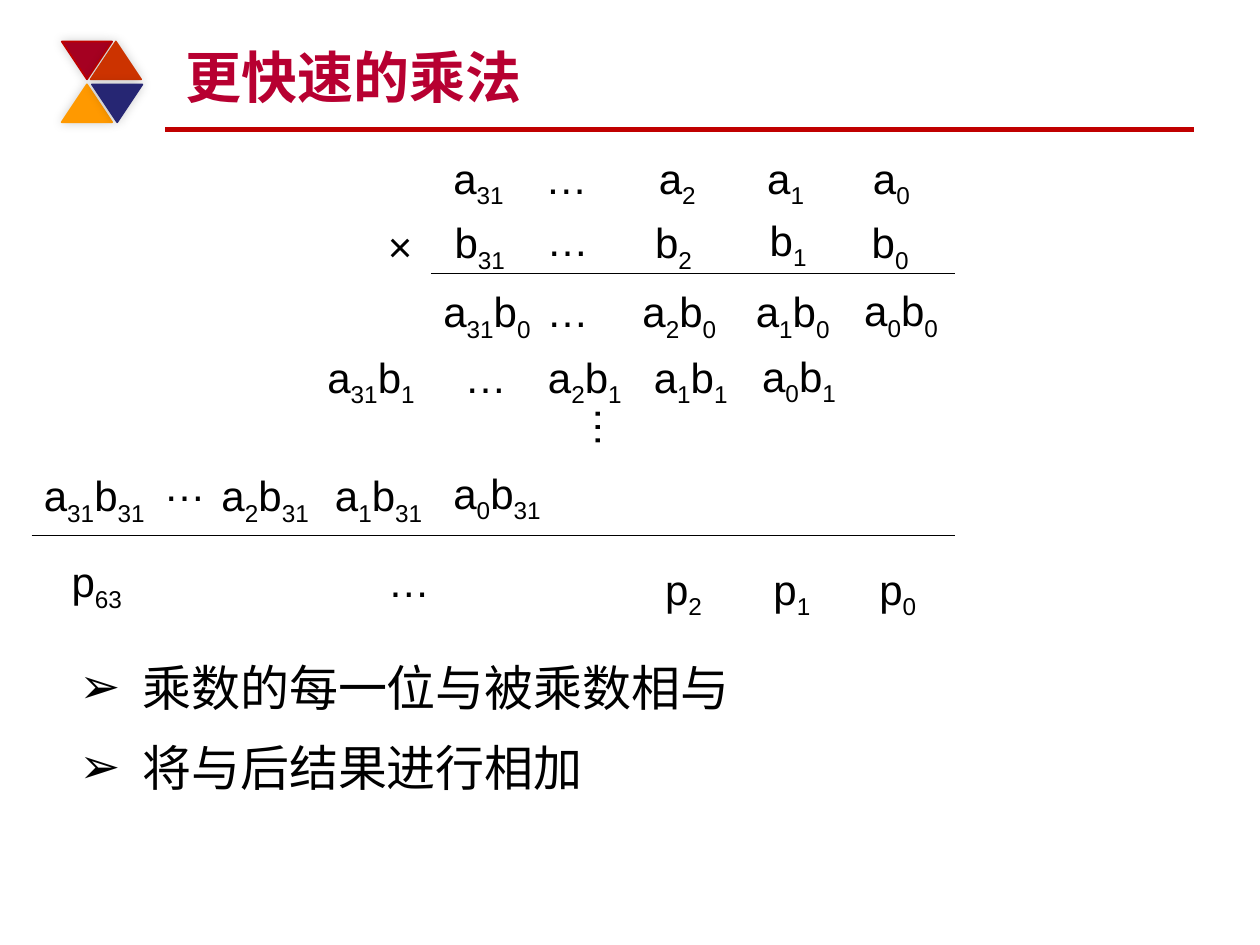
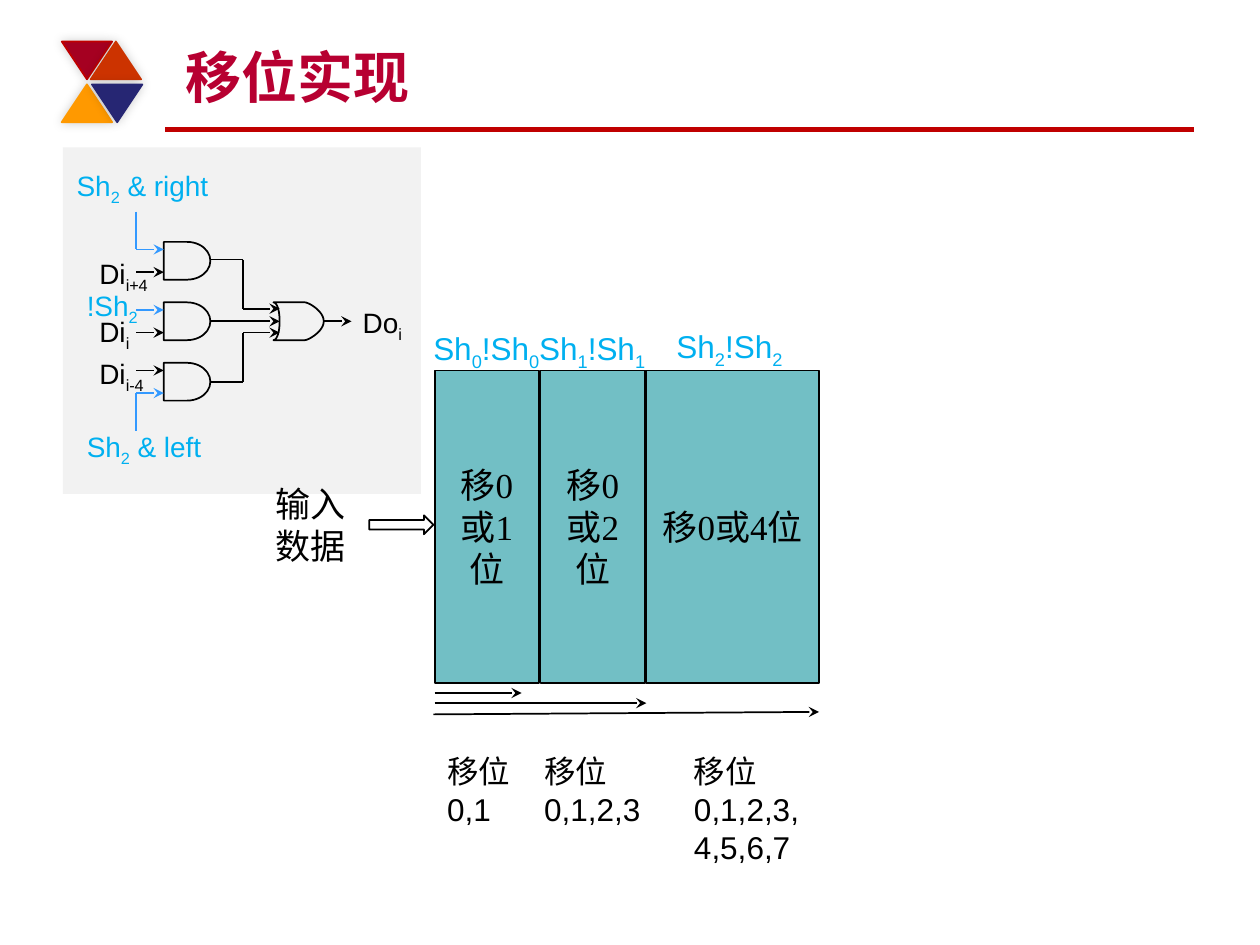
import lxml.etree
import pptx
import pptx.oxml.ns
from pptx.dml.color import RGBColor
from pptx.enum.shapes import MSO_CONNECTOR, MSO_SHAPE
from pptx.enum.text import MSO_ANCHOR, MSO_AUTO_SIZE, PP_ALIGN
from pptx.util import Inches, Pt

BLACK = RGBColor(0x00, 0x00, 0x00)
TITLE_RED = RGBColor(0xB7, 0x00, 0x31)
RULE_RED = RGBColor(0xC0, 0x00, 0x00)
DARK_RED = RGBColor(0xA5, 0x00, 0x21)
ORANGE_RED = RGBColor(0xCC, 0x33, 0x00)
AMBER = RGBColor(0xFF, 0x99, 0x00)
NAVY = RGBColor(0x26, 0x26, 0x73)
PANEL_GREY = RGBColor(0xF2, 0xF2, 0xF2)
STAGE_TEAL = RGBColor(0x72, 0xBF, 0xC5)
SIGNAL_BLUE = RGBColor(0x33, 0x99, 0xFF)
LABEL_BLUE = RGBColor(0x00, 0xB0, 0xF0)

# left, top, rotation, fill, line
TRIANGLES = [
    (0.49, 0.33, 180, DARK_RED, RULE_RED),
    (0.72, 0.33, 0, ORANGE_RED, ORANGE_RED),
    (0.49, 0.67, 0, AMBER, AMBER),
    (0.73, 0.67, 180, NAVY, NAVY),
]

# top, then (left, term); subscripts stand between bars
PRODUCT_ROWS = [
    (1.16, [(3.5, "a|31"), (4.23, "…"), (5.13, "a|2"), (5.99, "a|1"), (6.83, "a|0")]),
    (1.65, [(4.24, "…"), (6.01, "b|1")]),
    (1.67, [(3.51, "b|31"), (5.1, "b|2"), (6.82, "b|0")]),
    (1.7, [(2.98, "×")]),
    (2.22, [(3.42, "a|31|b|0"), (4.24, "…"), (5, "a|2|b|0"), (5.9, "a|1|b|0")]),
    (2.21, [(6.76, "a|0|b|0")]),
    (2.74, [(2.5, "a|31|b|1"), (3.59, "…"), (4.25, "a|2|b|1"), (5.09, "a|1|b|1")]),
    (2.73, [(5.95, "a|0|b|1")]),
    (3.6, [(1.2, "…")]),
    (3.68, [(0.25, "a|31|b|31"), (1.66, "a|2|b|31"), (2.56, "a|1|b|31")]),
    (3.66, [(3.5, "a|0|b|31")]),
    (4.36, [(0.47, "p|63"), (2.98, "…")]),
    (4.42, [(5.18, "p|2"), (6.04, "p|1"), (6.88, "p|0")]),
]


def sub_element(parent, tag, **attributes):
    return lxml.etree.SubElement(parent, pptx.oxml.ns.qn(tag), **attributes)


def box(left, top, width, height):
    return [Inches(v) for v in (left, top, width, height)]


def format_run(r, size, color=BLACK, font="Arial", bold=False):
    r.font.name = font
    r.font.size = Pt(size)
    r.font.bold = bold
    r.font.color.rgb = color


def add_text(shapes, at, text, size, color=BLACK, wrap=True):
    """Text box whose paragraphs are split by newlines and subscripts by bars."""
    tb = shapes.add_textbox(*box(*at))
    tf = tb.text_frame
    tf.word_wrap = wrap
    tf.auto_size = MSO_AUTO_SIZE.SHAPE_TO_FIT_TEXT
    for n, line in enumerate(text.split("\n")):
        p = tf.add_paragraph() if n else tf.paragraphs[0]
        for i, piece in enumerate(line.split("|")):
            r = p.add_run()
            r.text = piece
            format_run(r, size, color)
            if i % 2:
                r._r.get_or_add_rPr().set("baseline", "-25000")
    return tb


def add_line(shapes, x1, y1, x2, y2, color=BLACK, width=1, arrow=False):
    c = shapes.add_connector(MSO_CONNECTOR.STRAIGHT, *box(x1, y1, x2, y2))
    c.line.color.rgb = color
    c.line.width = Pt(width)
    sp_pr = c.element.spPr
    if arrow:
        sub_element(sp_pr.find(pptx.oxml.ns.qn("a:ln")), "a:tailEnd", type="stealth")
    sub_element(sp_pr, "a:effectLst")


def style_shape(sp, fill=None, line=BLACK):
    sp.shadow.inherit = False
    if fill is None:
        sp.fill.background()
    else:
        sp.fill.solid()
        sp.fill.fore_color.rgb = fill
    if line is None:
        sp.line.fill.background()
    else:
        sp.line.color.rgb = line
        sp.line.width = Pt(1)


def add_box(shapes, kind, at, fill=None, line=BLACK):
    sp = shapes.add_shape(kind, *box(*at))
    style_shape(sp, fill, line)
    return sp


def add_soft_shadow(sp):
    effects = sp.element.spPr.find(pptx.oxml.ns.qn("a:effectLst"))
    shadow = sub_element(effects, "a:outerShdw", blurRad=str(Pt(6)), dist="0",
                         dir="18900000", algn="bl", rotWithShape="0")
    color = sub_element(shadow, "a:srgbClr", val="000000")
    sub_element(color, "a:alpha", val="20000")


def place(sp, at):
    sp.left, sp.top, sp.width, sp.height = box(*at)


def new_slide(prs, layout, title):
    """Slide with the ornament, the red rule and the title."""
    s = prs.slides.add_slide(prs.slide_layouts[layout])
    add_line(s.shapes, 1.31, 1.03, 9.48, 1.03, RULE_RED, 3)
    for left, top, rotation, fill, line in TRIANGLES:
        sp = add_box(s.shapes, MSO_SHAPE.ISOSCELES_TRIANGLE, (left, top, 0.4, 0.3), fill, line)
        sp.rotation = rotation
        add_soft_shadow(sp)
    place(s.shapes.title, (1.37, 0.25, 8, 0.67))
    tf = s.shapes.title.text_frame
    tf.text = title
    tf.vertical_anchor = MSO_ANCHOR.BOTTOM
    tf.auto_size = MSO_AUTO_SIZE.NONE
    p = tf.paragraphs[0]
    p.alignment = PP_ALIGN.LEFT
    format_run(p.runs[0], 32, TITLE_RED, bold=True)
    return s


def fill_bullets(body, at, lines):
    place(body, at)
    tf = body.text_frame
    tf.text = "\n".join(lines)
    tf.auto_size = MSO_AUTO_SIZE.NONE
    for n, p in enumerate(tf.paragraphs):
        p.line_spacing = Pt(40)
        p.space_before = Pt(5.6 if n else 0)
        p_pr = p._p.get_or_add_pPr()
        p_pr.set("marL", str(Inches(0.5)))
        p_pr.set("indent", str(-Inches(0.5)))
        sub_element(p_pr, "a:buFont", typeface="Arial")
        sub_element(p_pr, "a:buChar", char="➢")
        format_run(p.runs[0], 28)


def term_width(term):
    if "|" not in term:
        return 0.54
    return 0.2 + sum(0.12 if ch.isdigit() else 0.19 for ch in term if ch != "|")


def draw_product(shapes):
    """Long multiplication of two 32-bit numbers."""
    for top, terms in PRODUCT_ROWS:
        for left, term in terms:
            add_text(shapes, (left, top, term_width(term), 0.5), term, 24, wrap=False)
    dots = add_text(shapes, (4.59, 3.15, 0.54, 0.5), "…", 24, wrap=False)
    dots.rotation = 90
    for left, y in ((3.42, 2.17), (0.25, 4.25)):
        add_line(shapes, left, y, 7.58, y, width=0.75)


def curve(p0, p1, p2, p3, steps=12):
    """Points along a cubic Bezier curve, without the first."""
    points = []
    for n in range(1, steps + 1):
        t = n / steps
        weights = ((1 - t) ** 3, 3 * t * (1 - t) ** 2, 3 * t * t * (1 - t), t ** 3)
        points.append(tuple(sum(w * p[axis] for w, p in zip(weights, (p0, p1, p2, p3)))
                            for axis in (0, 1)))
    return points


def draw_or_gate(shapes, x, y):
    back = (curve((0, 0.3), (0.03, 0.3), (0.05, 0.23), (0.05, 0.15))
            + curve((0.05, 0.15), (0.05, 0.07), (0.03, 0), (0, 0)))
    front = (curve((0.25, 0), (0.28, 0), (0.4, 0.07), (0.4, 0.15))
             + curve((0.4, 0.15), (0.4, 0.23), (0.28, 0.3), (0.25, 0.3)))
    outline = [(Inches(x + dx), Inches(y + dy)) for dx, dy in back + [(0.25, 0)] + front]
    fb = shapes.build_freeform(Inches(x), Inches(y + 0.3))
    fb.add_line_segments(outline, close=True)
    style_shape(fb.convert_to_shape())


def draw_bit_logic(shapes, x, y):
    """Gates that choose one output bit, on a grey panel."""
    add_box(shapes, MSO_SHAPE.RECTANGLE, (x, y, 2.84, 2.75), PANEL_GREY, None)
    wire, gate, joint, merge = x + 0.58, x + 0.8, x + 1.43, x + 1.67
    for n in range(3):
        top = y + 0.75 + 0.48 * n
        add_box(shapes, MSO_SHAPE.FLOWCHART_DELAY, (gate, top, 0.37, 0.3))
        colors = (BLACK, SIGNAL_BLUE) if n == 2 else (SIGNAL_BLUE, BLACK)
        for dy, color in zip((0.06, 0.24), colors):
            add_line(shapes, wire, top + dy, gate, top + dy, color, arrow=True)
    draw_or_gate(shapes, merge, y + 1.23)
    for out, entry in ((0.89, 1.28), (1.86, 1.47)):
        add_line(shapes, gate + 0.37, y + out, joint, y + out)
        add_line(shapes, joint, y + out, joint, y + entry)
        add_line(shapes, joint, y + entry, merge + 0.05, y + entry, arrow=True)
    add_line(shapes, gate + 0.37, y + 1.38, merge + 0.05, y + 1.38, arrow=True)
    add_line(shapes, merge + 0.4, y + 1.38, x + 2.29, y + 1.38, arrow=True)
    for start in (0.51, 1.95):
        add_line(shapes, wire, y + start, wire, y + start + 0.3, SIGNAL_BLUE)
    for dx, dy, width, text, color in (
        (2.28, 1.21, 0.72, "Do|i", BLACK),
        (0.19, 0.82, 0.72, "Di|i+4", BLACK),
        (0.19, 1.28, 0.72, "Di|i", BLACK),
        (0.19, 1.61, 0.72, "Di|i-4", BLACK),
        (0.01, 0.12, 1.32, "Sh|2| & right", LABEL_BLUE),
        (0.09, 2.19, 1.32, "Sh|2| & left", LABEL_BLUE),
    ):
        add_text(shapes, (x + dx, y + dy, width, 0.37), text, 16, color)
    add_text(shapes, (x + 0.09, y + 1.07, 0.68, 0.37), "!Sh|2", 16, LABEL_BLUE, wrap=False)


def draw_shifter(shapes, x, y):
    """Three shift stages with their controls, reach arrows and captions."""
    add_box(shapes, MSO_SHAPE.RIGHT_ARROW, (x - 0.52, y + 1.15, 0.51, 0.15))
    add_text(shapes, (x - 1.36, y + 0.84, 0.97, 0.77), "输入数据", 20)
    # offset, width, label offset, caption offset, caption width, caption
    stages = [
        (0, 0.83, -0.11, 0, 0.97, "移位\n0,1"),
        (0.84, 0.83, 0.73, 0.77, 0.97, "移位\n0,1,2,3"),
        (1.68, 1.37, 1.82, 1.96, 1.07, "移位\n0,1,2,3,4,5,6,7"),
    ]
    for n, (dx, width, label_dx, caption_dx, caption_width, caption) in enumerate(stages):
        sp = add_box(shapes, MSO_SHAPE.RECTANGLE, (x + dx, y, width, 2.48), STAGE_TEAL)
        tf = sp.text_frame
        tf.text = f"移0或{2 ** n}位"
        tf.word_wrap = True
        tf.vertical_anchor = MSO_ANCHOR.MIDDLE
        tf.paragraphs[0].alignment = PP_ALIGN.CENTER
        format_run(tf.paragraphs[0].runs[0], 20, font="Times New Roman")
        label_top = y - (0.39 if n == 2 else 0.38)
        add_text(shapes, (x + label_dx, label_top, 1.18, 0.4),
                 f"Sh|{n}|!Sh|{n}", 18, LABEL_BLUE)
        add_text(shapes, (x + caption_dx, y + 2.98, caption_width, 0.71), caption, 18)
    for x1, y1, x2, y2 in ((0, 2.56, 0.69, 2.56), (0, 2.64, 1.68, 2.64),
                           (-0.01, 2.73, 3.05, 2.71)):
        add_line(shapes, x + x1, y + y1, x + x2, y + y2, arrow=True)


def multiplication_slide(prs):
    s = new_slide(prs, 1, "更快速的乘法")
    fill_bullets(s.placeholders[1], (0.53, 5.08, 8.95, 2.09),
                 ["乘数的每一位与被乘数相与", "将与后结果进行相加"])
    draw_product(s.shapes)


def shift_slide(prs):
    s = new_slide(prs, 5, "移位实现")
    draw_bit_logic(s.shapes.add_group_shape().shapes, 0.5, 1.17)
    draw_shifter(s.shapes, 3.45, 2.94)


def main():
    prs = pptx.Presentation()
    prs.slide_width, prs.slide_height = Inches(10), Inches(7.5)
    multiplication_slide(prs)
    shift_slide(prs)
    prs.save("out.pptx")


if __name__ == "__main__":
    main()
